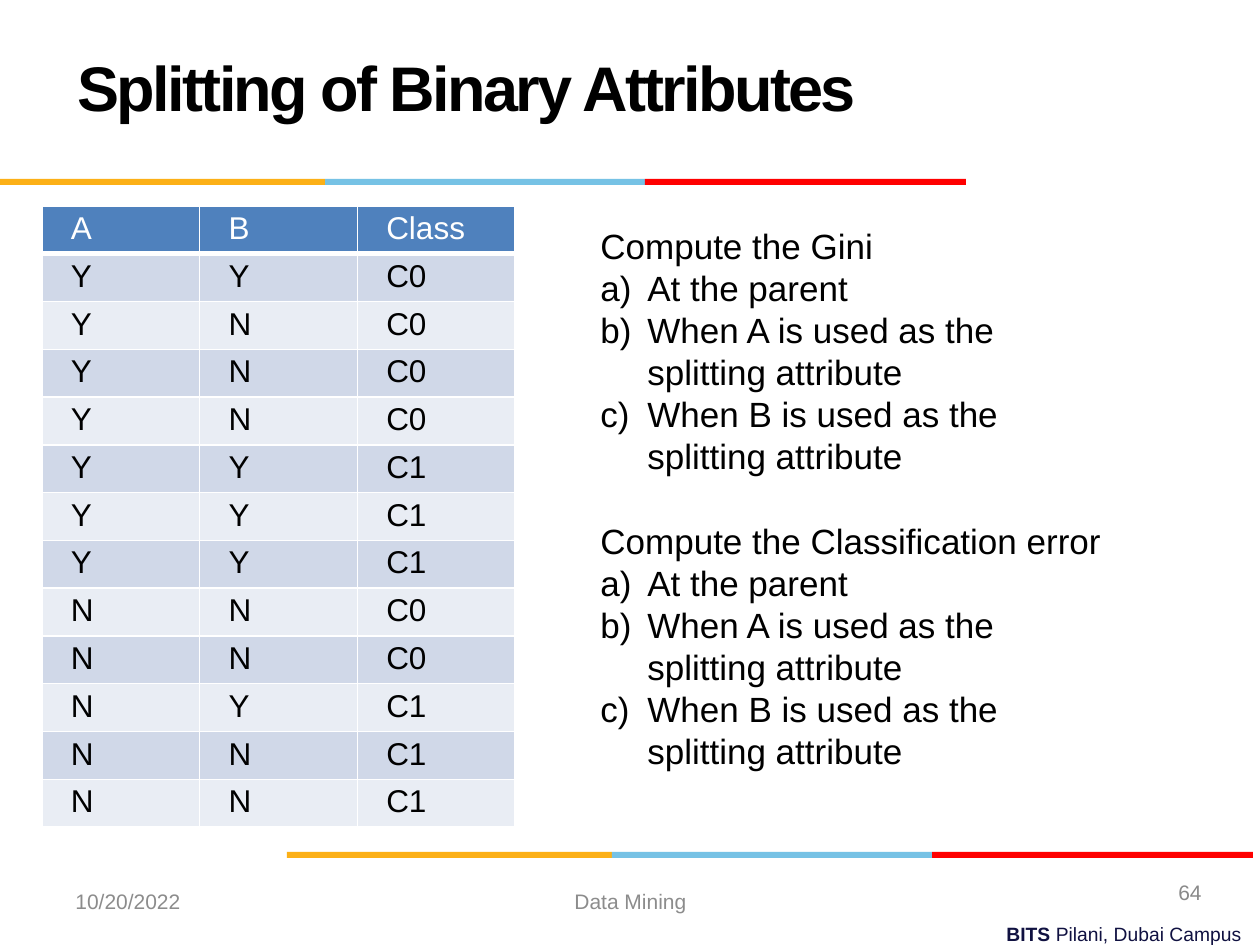
import pptx
import pptx.dml.color
import pptx.enum.shapes
import pptx.enum.text
import pptx.oxml
import pptx.oxml.ns
import pptx.util

RGBColor = pptx.dml.color.RGBColor
Align = pptx.enum.text.PP_ALIGN
Anchor = pptx.enum.text.MSO_ANCHOR

BLACK = RGBColor(0x00, 0x00, 0x00)
WHITE = RGBColor(0xFF, 0xFF, 0xFF)
NAVY = RGBColor(0x10, 0x11, 0x41)
FOOTER_GREY = RGBColor(0x8C, 0x8C, 0x8C)
NUMBER_GREY = RGBColor(0x89, 0x89, 0x89)
ORANGE = RGBColor(0xFC, 0xB0, 0x17)
SKY = RGBColor(0x76, 0xC2, 0xE5)
RED = RGBColor(0xFF, 0x00, 0x00)
HEADER_BLUE = RGBColor(0x4F, 0x81, 0xBD)
ROW_DARK = RGBColor(0xD0, 0xD8, 0xE8)
ROW_LIGHT = RGBColor(0xE9, 0xED, 0xF4)

SEGMENTS = [(0, 325, ORANGE), (325, 320, SKY), (645, 321, RED)]
HEADERS = ["A", "B", "Class"]
RECORDS = [
    "Y Y C0", "Y N C0", "Y N C0", "Y N C0", "Y Y C1", "Y Y C1",
    "Y Y C1", "N N C0", "N N C0", "N Y C1", "N N C1", "N N C1",
]
QUESTIONS = [
    "At the parent",
    "When A is used as the splitting attribute",
    "When B is used as the splitting attribute",
]


class SlideBuilder:
    font_name = "Arial"
    scale = 914400 / 126

    def __init__(self, deck):
        deck.slide_width = self.emu(1260)
        deck.slide_height = self.emu(945)
        self.slide = deck.slides.add_slide(deck.slide_layouts[6])

    def emu(self, px):
        return pptx.util.Emu(round(px * self.scale))

    def area(self, *lengths):
        return [self.emu(length) for length in lengths]

    def style(self, para, size, color, bold=False):
        para.font.name = self.font_name
        para.font.size = pptx.util.Pt(size)
        para.font.color.rgb = color
        para.font.bold = bold

    def text(self, area, text, size, color, align=Align.LEFT, anchor=Anchor.MIDDLE, bold=False):
        box = self.slide.shapes.add_textbox(*self.area(*area))
        box.text_frame.word_wrap = True
        box.text_frame.vertical_anchor = anchor
        para = box.text_frame.paragraphs[0]
        para.text = text
        para.alignment = align
        self.style(para, size, color, bold)
        return box.text_frame

    def title(self, area, text):
        para = self.text(area, text, 36, BLACK, bold=True).paragraphs[0]
        para.runs[0].font._element.set("spc", "-150")

    def campus(self, area, name, place):
        para = self.text(area, name, 11, NAVY, Align.RIGHT, Anchor.TOP).paragraphs[0]
        para.runs[0].font.bold = True
        para.add_run().text = place

    def color_band(self, left, top):
        for offset, width, color in SEGMENTS:
            bar = self.slide.shapes.add_shape(
                pptx.enum.shapes.MSO_SHAPE.RECTANGLE,
                *self.area(left + offset, top, width, 6))
            bar.shadow.inherit = False
            bar.fill.solid()
            bar.fill.fore_color.rgb = color
            bar.line.fill.background()

    def lettered_list(self, area, heading, items):
        frame = self.text(area, heading, 20, BLACK, anchor=Anchor.TOP)
        for item in items:
            para = frame.add_paragraph()
            para.text = item
            properties = para._p.get_or_add_pPr()
            properties.set("marL", str(self.emu(47)))
            properties.set("indent", str(-self.emu(47)))
            properties.append(pptx.oxml.parse_xml(
                f'<a:buAutoNum {pptx.oxml.ns.nsdecls("a")} type="alphaLcParenR"/>'))
            self.style(para, 20, BLACK)

    def borders(self, cell, bottom):
        properties = cell._tc.get_or_add_tcPr()
        for side, points in (("L", 1), ("R", 1), ("T", 1), ("B", bottom)):
            properties.append(pptx.oxml.parse_xml(
                f'<a:ln{side} {pptx.oxml.ns.nsdecls("a")} w="{pptx.util.Pt(points)}">'
                f'<a:solidFill><a:srgbClr val="{WHITE}"/></a:solidFill></a:ln{side}>'))

    def cell(self, cell, text, color, fill, bottom):
        self.borders(cell, bottom)
        cell.margin_left = cell.margin_right = self.emu(29)
        cell.margin_top = cell.margin_bottom = self.emu(5)
        cell.fill.solid()
        cell.fill.fore_color.rgb = fill
        para = cell.text_frame.paragraphs[0]
        para.text = text
        self.style(para, 18, color)

    def table(self, area, rows):
        table = self.slide.shapes.add_table(
            len(rows), len(rows[0]), *self.area(*area)).table
        for row_index, row in enumerate(rows):
            if row_index == 0:
                look = (WHITE, HEADER_BLUE, 3)
            else:
                look = (BLACK, ROW_DARK if row_index % 2 else ROW_LIGHT, 1)
            for column_index, text in enumerate(row):
                self.cell(table.cell(row_index, column_index), text, *look)


def main():
    deck = pptx.Presentation()
    page = SlideBuilder(deck)
    page.campus((445, 916, 809, 37), "BITS ", "Pilani, Dubai Campus")
    page.color_band(287, 852)
    page.color_band(0, 179)
    page.table((42, 206, 473, 615), [HEADERS] + [record.split() for record in RECORDS])
    page.text((63, 876, 294, 50), "10/20/2022", 12, FOOTER_GREY)
    page.text((920, 867, 294, 50), "64", 12, NUMBER_GREY, Align.RIGHT)
    page.title((65, 8, 837, 157), "Splitting of Binary Attributes")
    page.text((431, 876, 399, 50), "Data Mining", 12, FOOTER_GREY, Align.CENTER)
    page.lettered_list((588, 218, 544, 267), "Compute the Gini", QUESTIONS)
    page.lettered_list((588, 513, 544, 267), "Compute the Classification error", QUESTIONS)
    deck.save("out.pptx")


if __name__ == "__main__":
    main()
